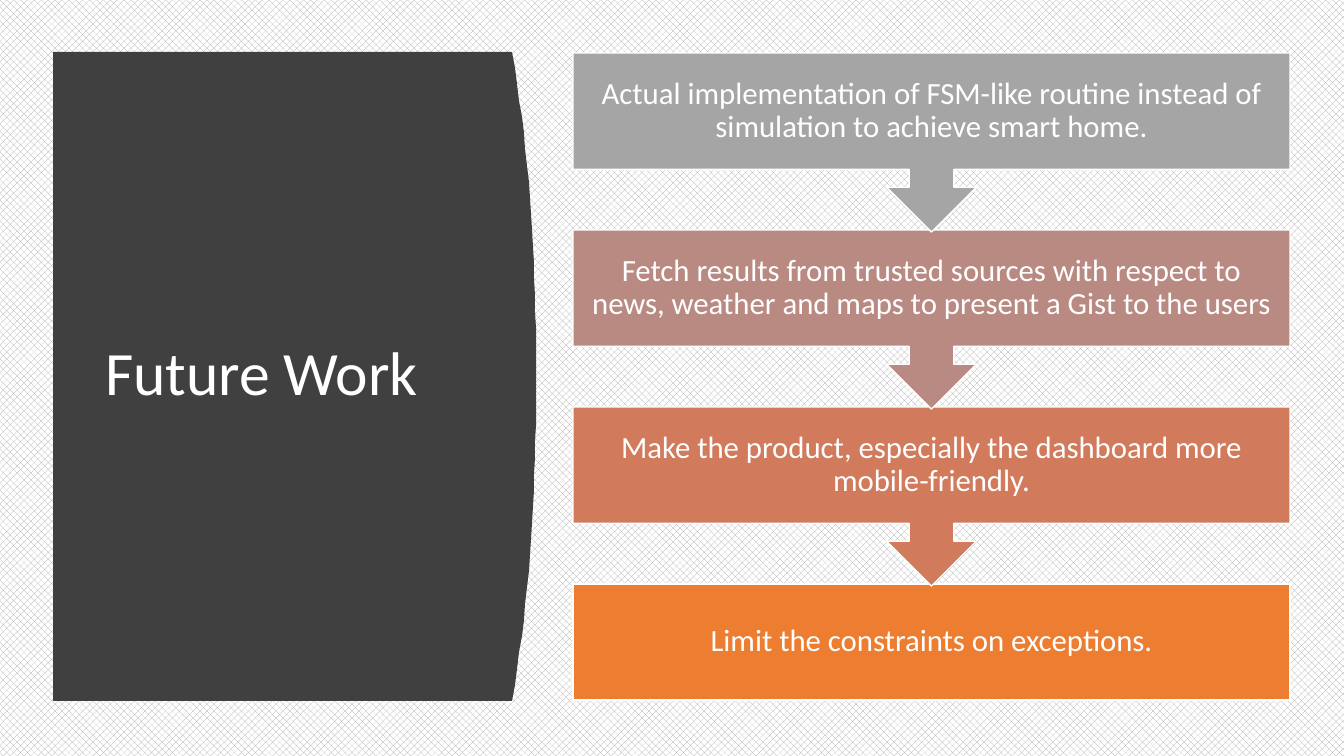
from pptx import Presentation
from pptx.dml import color
from pptx.enum import dml, shapes, text
from pptx import util as u

PX = 914400 / 100.8
FONT = "Calibri"
STEPS = [
    ("Actual implementation of FSM-like routine instead of simulation to achieve smart home.", "A5A5A5"),
    ("Fetch results from trusted sources with respect to news, weather and maps to present a Gist to the users", "B98A82"),
    ("Make the product, especially the dashboard more mobile-friendly.", "D17B5C"),
    ("Limit the constraints on exceptions.", "ED7D31"),
]


def px(n):
    return u.Emu(round(n * PX))


def rgb(value):
    return color.RGBColor.from_string(value)


def set_attrs(obj, values):
    for name, value in values.items():
        setattr(obj, name, value)


def paint(sp, fill, line=None):
    sp.shadow.inherit = False
    sp.fill.solid()
    sp.fill.fore_color.rgb = rgb(fill)
    if line:
        sp.line.color.rgb = rgb(line)
        sp.line.width = u.Pt(1)
    else:
        sp.line.fill.background()


def write(sp, words, size, align, margins):
    tf = sp.text_frame
    set_attrs(tf, {"word_wrap": True, "auto_size": text.MSO_AUTO_SIZE.NONE,
                   "vertical_anchor": text.MSO_ANCHOR.MIDDLE})
    set_attrs(tf, {f"margin_{side}": px(margins)
                   for side in ("left", "top", "right", "bottom")})
    p = tf.paragraphs[0]
    set_attrs(p, {"alignment": align, "line_spacing": 0.9})
    r = p.add_run()
    r.text = words
    set_attrs(r.font, {"name": FONT, "size": u.Pt(size)})
    r.font.color.rgb = rgb("FFFFFF")


def title_panel(s, left, top, width, height):
    bulge, count = 24, 40
    edge = []
    for i in range(count + 1):
        t = abs(2 * i / count - 1)
        edge.append((left + width - bulge * t ** 2.3, top + height * i / count))
    builder = s.shapes.build_freeform(left, top, scale=PX)
    builder.add_line_segments(edge + [(left, top + height)], close=True)
    panel = builder.convert_to_shape()
    paint(panel, "404040")

    title = s.shapes.title
    set_attrs(title, {"left": px(left + 42), "top": px(top + 60),
                      "width": px(377), "height": px(height - 121)})
    write(title, "Future Work", 44, text.PP_ALIGN.LEFT, 10)
    panel.element.addnext(title.element)


def step_flow(s, left, top, width, height):
    box_height, callout_height = 116, 179
    pitch = (height - box_height) / (len(STEPS) - 1)
    last = len(STEPS) - 1
    for i, (words, fill) in reversed(list(enumerate(STEPS))):
        kind, h = ((shapes.MSO_SHAPE.RECTANGLE, box_height) if i == last else
                   (shapes.MSO_SHAPE.DOWN_ARROW_CALLOUT, callout_height))
        sp = s.shapes.add_shape(kind, px(left), px(top + i * pitch), px(width), px(h))
        paint(sp, fill, "FFFFFF")
        write(sp, words, 22, text.PP_ALIGN.CENTER, 17)


def future_work_slide(prs):
    s = prs.slides.add_slide(prs.slide_layouts[5])
    bg = s.background.fill
    bg.patterned()
    bg.pattern = dml.MSO_PATTERN.PERCENT_50
    bg.fore_color.rgb = rgb("A6A6A6")
    bg.back_color.rgb = rgb("FFFFFF")
    title_panel(s, 53, 52, 483, 649)
    step_flow(s, 573, 53, 717, 647)


prs = Presentation()
set_attrs(prs, {"slide_width": px(1344), "slide_height": px(756)})
future_work_slide(prs)
prs.save("out.pptx")
